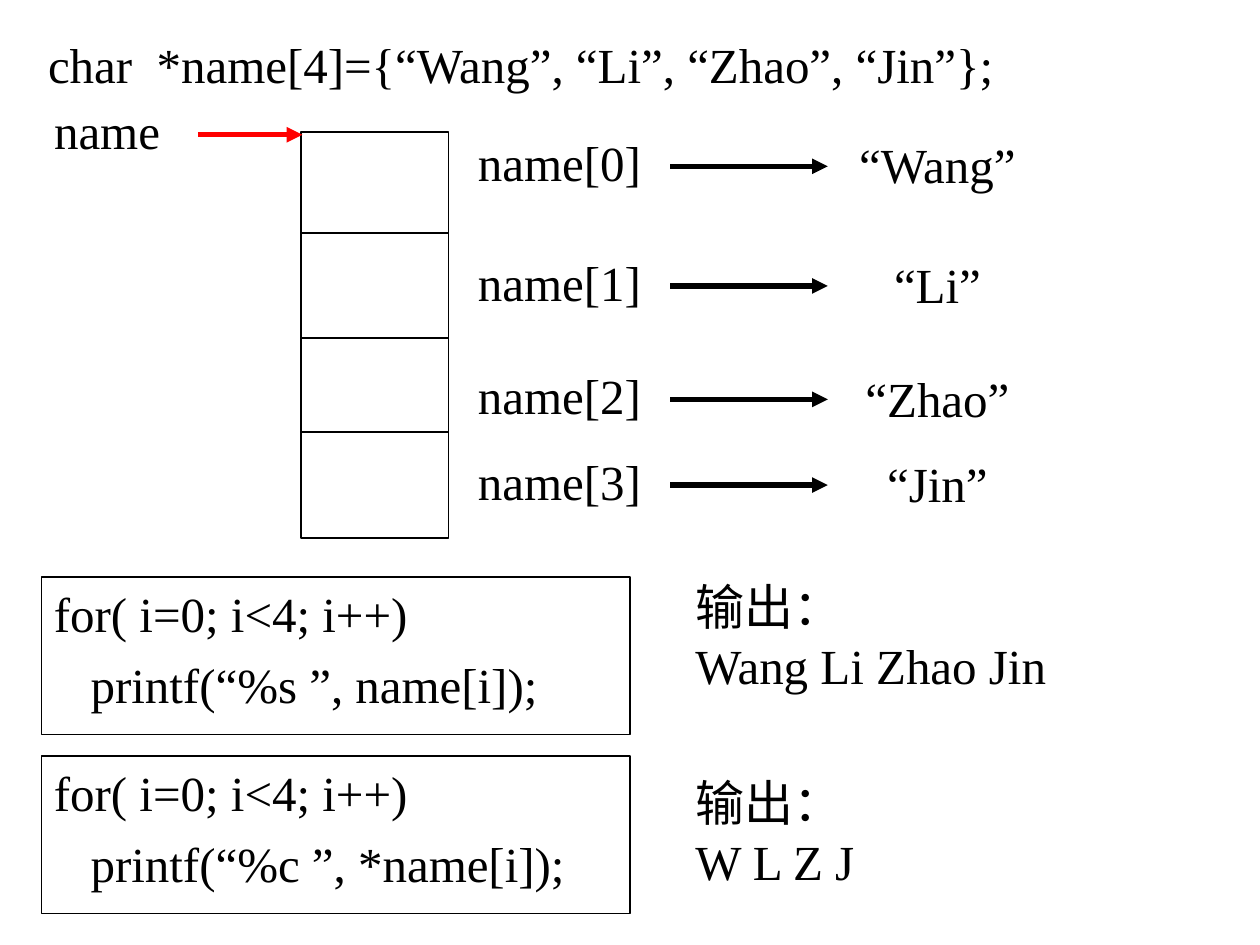
from lxml import etree
from pptx import Presentation
from pptx.dml.color import RGBColor
from pptx.enum.shapes import MSO_CONNECTOR, MSO_SHAPE
from pptx.enum.text import MSO_ANCHOR, MSO_AUTO_SIZE, PP_ALIGN
from pptx.oxml.ns import qn
from pptx.util import Inches, Pt

STRAIGHT = MSO_CONNECTOR.STRAIGHT
RECTANGLE = MSO_SHAPE.RECTANGLE
TOP, MIDDLE = MSO_ANCHOR.TOP, MSO_ANCHOR.MIDDLE
FIXED, GROW = MSO_AUTO_SIZE.NONE, MSO_AUTO_SIZE.SHAPE_TO_FIT_TEXT
LEFT, CENTER = PP_ALIGN.LEFT, PP_ALIGN.CENTER

THEME = {
    "font": "Times New Roman",
    "ink": RGBColor(0x00, 0x00, 0x00),
    "accent": RGBColor(0xFF, 0x00, 0x00),
    "text": Pt(28),
    "lead": Pt(32),
    "thin": Pt(1),
    "thick": Pt(3),
    "gap": Pt(7),
}


def write(shape, lines, align=LEFT, anchor=MIDDLE, wrap=True, fit=GROW, gap=Pt(0)):
    """Fill a shape with lines, each a list of (text, size) runs."""
    frame = shape.text_frame
    frame.word_wrap, frame.auto_size, frame.vertical_anchor = wrap, fit, anchor
    for number, runs in enumerate(lines):
        paragraph = frame.add_paragraph() if number else frame.paragraphs[0]
        paragraph.alignment = align
        paragraph.space_before = gap if number else Pt(0)
        for text, size in runs:
            run = paragraph.add_run()
            run.text = text
            run.font.name = THEME["font"]
            run.font.size = size
            run.font.color.rgb = THEME["ink"]


def draw_line(x1, y1, x2, y2, color=THEME["ink"], width=THEME["thin"], arrow=False):
    line = slide.shapes.add_connector(
        STRAIGHT, Inches(x1), Inches(y1), Inches(x2), Inches(y2))
    line.line.color.rgb = color
    line.line.width = width
    if arrow:
        etree.SubElement(line.line._get_or_add_ln(), qn("a:tailEnd"), type="triangle")
    etree.SubElement(line._element.spPr, qn("a:effectLst"))


prs = Presentation()
prs.slide_width, prs.slide_height = Inches(10), Inches(7.5)
slide = prs.slides.add_slide(prs.slide_layouts[1])
slide_title, declaration = slide.placeholders
slide_title._element.getparent().remove(slide_title._element)

# Array declaration
declaration.left, declaration.top = Inches(0.17), Inches(0.17)
declaration.width, declaration.height = Inches(7.92), Inches(0.75)
properties = declaration.text_frame.paragraphs[0]._p.get_or_add_pPr()
properties.set("marL", str(Inches(0.38)))
properties.set("indent", str(-Inches(0.38)))
etree.SubElement(properties, qn("a:buNone"))
write(declaration, [[(" ", THEME["lead"]),
                     ("char  *name[4]={“Wang”, “Li”, “Zhao”, “Jin”};", THEME["text"])]],
      anchor=TOP, fit=FIXED)

# Outlined boxes: the pointer array, then the two code fragments
CODE = {4.58: "   printf(“%s ”, name[i]);", 6: "   printf(“%c ”, *name[i]);"}
outlines = [(2.39, 1.05, 1.17, 3.22, None)]
outlines += [(0.33, top, 4.67, 1.25, call) for top, call in CODE.items()]
for left, top, width, height, call in outlines:
    box = slide.shapes.add_shape(
        RECTANGLE, Inches(left), Inches(top), Inches(width), Inches(height))
    box.shadow.inherit = False
    box.fill.background()
    box.line.color.rgb = THEME["ink"]
    box.line.width = THEME["thin"]
    if call:
        write(box, [[("for( i=0; i<4; i++)", THEME["text"])], [(call, THEME["text"])]],
              anchor=TOP, fit=FIXED, gap=THEME["gap"])

# Cell dividers of the array
for divider in (1.85, 2.68, 3.43):
    draw_line(2.39, divider, 3.56, divider)

# Array name, elements and the strings they point to
labels = [("name", 0.85, 0.75, 1.08)]
elements = [("“Wang”", 1, 1.5), ("“Li”", 1.95, 0.92),
            ("“Zhao”", 2.85, 1.38), ("“Jin”", 3.53, 1.04)]
ELEMENT_CENTER, STRING_CENTER = 4.44, 7.44
for index, (string, top, width) in enumerate(elements):
    labels.append((f"name[{index}]", ELEMENT_CENTER, top, 1.54))
    labels.append((string, STRING_CENTER, top + 0.02, width))
    draw_line(5.32, top + 0.32, 6.57, top + 0.32, width=THEME["thick"], arrow=True)
draw_line(1.57, 1.07, 2.4, 1.07, THEME["accent"], THEME["thick"], arrow=True)
for text, center, top, width in labels:
    label = slide.shapes.add_textbox(
        Inches(center - width / 2), Inches(top), Inches(width), Inches(0.57))
    write(label, [[(text, THEME["text"])]], align=CENTER, wrap=False)

# Program output
for result, top, width in (("Wang Li Zhao Jin", 4.52, 3.42), ("W L Z J", 6.08, 3.17)):
    output = slide.shapes.add_textbox(
        Inches(5.42), Inches(top), Inches(width), Inches(1.04))
    write(output, [[("输出：", THEME["text"])], [(result, THEME["text"])]])

prs.save("out.pptx")
